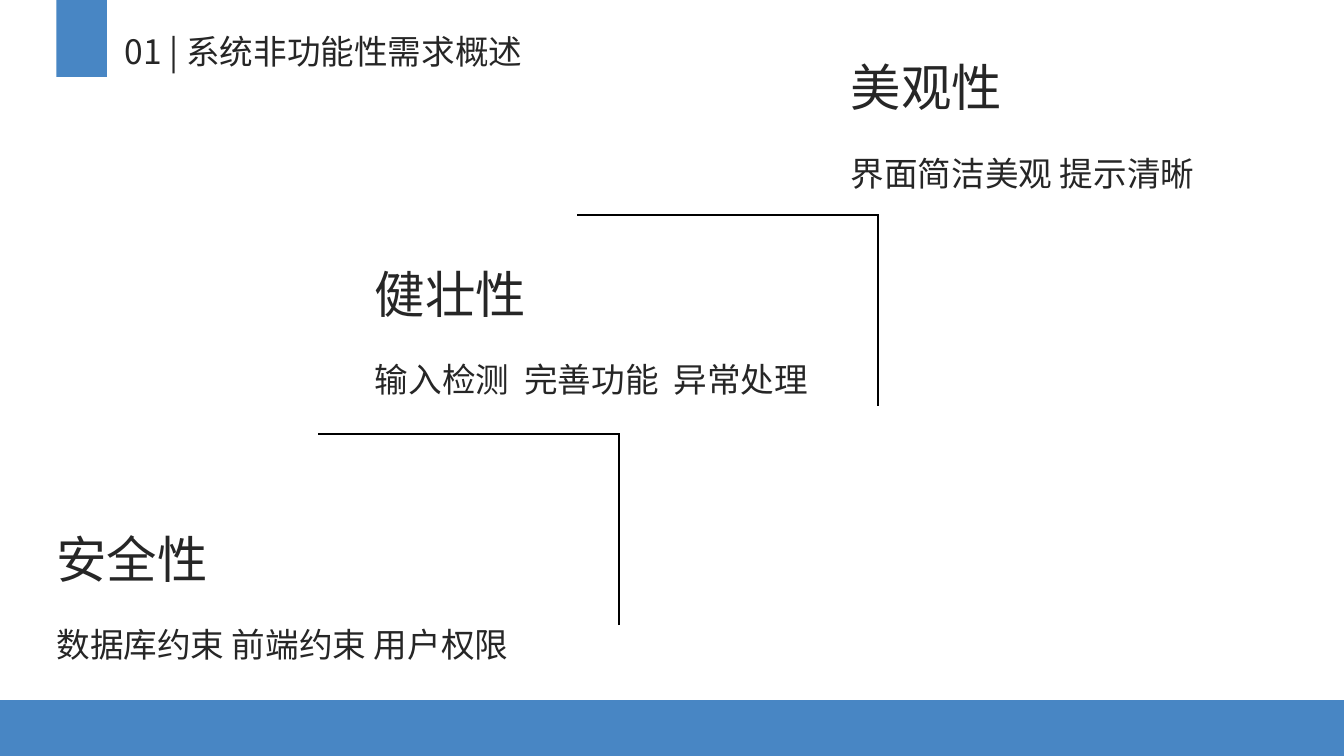
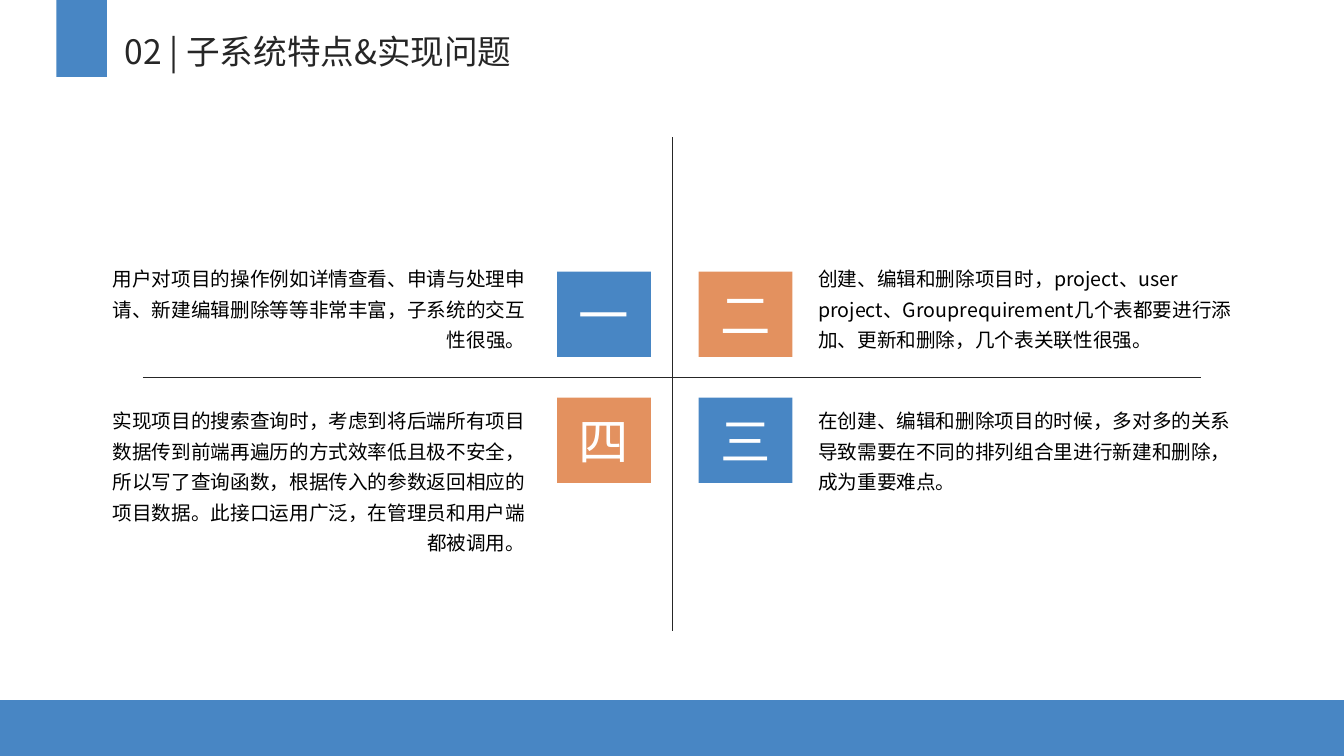
import pptx
import pptx.util
import pptx.dml.color
import pptx.enum.shapes
import pptx.enum.text
import pptx.oxml.ns
import lxml.etree

Pt = pptx.util.Pt
RGBColor = pptx.dml.color.RGBColor
ALIGN = pptx.enum.text.PP_ALIGN
ANCHOR = pptx.enum.text.MSO_ANCHOR

BLUE = RGBColor(0x48, 0x86, 0xC4)
ORANGE = RGBColor(0xE3, 0x91, 0x5F)
DARK = RGBColor(0x26, 0x26, 0x26)
BLACK = RGBColor(0, 0, 0)
WHITE = RGBColor(0xFF, 0xFF, 0xFF)
FONT = "Noto Sans CJK SC"

TITLES = ["01 | 系统非功能性需求概述", "02 | 子系统特点&实现问题"]
STEPS = [
    ("安全性", "数据库约束 前端约束 用户权限", 40.3, 368.6),
    ("健壮性", "输入检测\t完善功能\t异常处理", 267.8, 179.3),
    ("美观性", "界面简洁美观 提示清晰", 607.7, 31.7),
]
STEP_TABS = [106.7, 213.4]
CORNERS = [(442, 310), (627, 153.5)]
CORNER_WIDTH, CORNER_HEIGHT = 214.5, 136.5
QUADRANTS = [
    [
        ("一", "用户对项目的操作例如详情查看、申请与处理申请、新建编辑删除等等非常丰富，子系统的交互性很强。"),
        ("二", "创建、编辑和删除项目时，project、user project、Grouprequirement几个表都要进行添加、更新和删除，几个表关联性很强。"),
    ],
    [
        ("四", "实现项目的搜索查询时，考虑到将后端所有项目数据传到前端再遍历的方式效率低且极不安全，所以写了查询函数，根据传入的参数返回相应的项目数据。此接口运用广泛，在管理员和用户端都被调用。"),
        ("三", "在创建、编辑和删除项目的时候，多对多的关系导致需要在不同的排列组合里进行新建和删除，成为重要难点。"),
    ],
]
COLUMNS = [(398, 63.4, ALIGN.RIGHT), (499, 577.4, ALIGN.LEFT)]
ROWS = [(194, 182.2, 71.3), (284, 283.7, 115.2)]


def write(shape, text, size, color, inset=True, **paragraph_format):
    frame = shape.text_frame
    frame_format = {"word_wrap": True, "auto_size": pptx.enum.text.MSO_AUTO_SIZE.NONE}
    if not inset:
        frame_format.update(dict.fromkeys(
            ("margin_left", "margin_top", "margin_right", "margin_bottom"), 0))
    for name, value in frame_format.items():
        setattr(frame, name, value)
    para = frame.paragraphs[0]
    span = para.add_run()
    span.text = text
    for name, value in paragraph_format.items():
        setattr(para, name, value)
    for name, value in {"name": FONT, "size": Pt(size), "bold": False}.items():
        setattr(span.font, name, value)
    span.font.color.rgb = color
    east_asian = lxml.etree.Element(pptx.oxml.ns.qn("a:ea"), typeface=FONT)
    span.font._element.find(pptx.oxml.ns.qn("a:latin")).addnext(east_asian)
    return para


def add_text(page, place, *content, **formatting):
    box = page.shapes.add_textbox(*map(Pt, place))
    return write(box, *content, **formatting)


def add_block(page, place, color):
    block = page.shapes.add_shape(
        pptx.enum.shapes.MSO_SHAPE.RECTANGLE, *map(Pt, place))
    block.shadow.inherit = False
    block.fill.solid()
    block.fill.fore_color.rgb = color
    block.line.fill.background()
    return block


def add_line(page, ends, color, width):
    line = page.shapes.add_connector(
        pptx.enum.shapes.MSO_CONNECTOR.STRAIGHT, *map(Pt, ends))
    line.line.color.rgb = color
    line.line.width = Pt(width)
    properties = line._element.find(pptx.oxml.ns.qn("p:spPr"))
    lxml.etree.SubElement(properties, pptx.oxml.ns.qn("a:effectLst"))


def add_page(deck, title):
    page = deck.slides.add_slide(deck.slide_layouts[5])
    add_block(page, (0, 500, 960, 40), BLUE)
    add_block(page, (40.3, 0, 36, 55), BLUE)
    heading = page.shapes.title
    place = {"left": 82, "top": 18.7, "width": 500, "height": 36}
    for name, value in place.items():
        setattr(heading, name, Pt(value))
    heading.text_frame.vertical_anchor = ANCHOR.MIDDLE
    write(heading, title, 24, DARK, alignment=ALIGN.LEFT)
    return page


def add_steps(page):
    for name, detail, left, top in STEPS:
        add_text(page, (left, top, 138, 48), name, 36, DARK,
                 inset=False, line_spacing=1.2)
        para = add_text(page, (left, top + 71.5, 350, 32), detail, 24, DARK,
                        inset=False, line_spacing=1.2)
        if "\t" in detail:
            properties = para._p.get_or_add_pPr()
            tabs = lxml.etree.SubElement(properties, pptx.oxml.ns.qn("a:tabLst"))
            for position in STEP_TABS:
                lxml.etree.SubElement(tabs, pptx.oxml.ns.qn("a:tab"),
                                      pos=str(Pt(position)), algn="l")
    for right, top in CORNERS:
        add_line(page, (right - CORNER_WIDTH, top, right, top), BLACK, 1.5)
        add_line(page, (right, top + CORNER_HEIGHT, right, top - 0.75), BLACK, 1.5)


def add_quadrants(page):
    add_line(page, (102, 269.5, 858, 269.5), DARK, 0.5)
    add_line(page, (480, 98, 480, 451), DARK, 0.5)
    for row, (block_top, text_top, height) in enumerate(ROWS):
        for column, (block_left, text_left, side) in enumerate(COLUMNS):
            number, detail = QUADRANTS[row][column]
            color = BLUE if row == column else ORANGE
            block = add_block(page, (block_left, block_top, 67, 61), color)
            block.text_frame.vertical_anchor = ANCHOR.MIDDLE
            write(block, number, 36, WHITE, alignment=ALIGN.CENTER)
            add_text(page, (text_left, text_top, 319, height), detail, 14, BLACK,
                     alignment=side, line_spacing=1.3)


def main():
    deck = pptx.Presentation()
    deck.slide_width, deck.slide_height = Pt(960), Pt(540)
    for title, fill_page in zip(TITLES, (add_steps, add_quadrants)):
        fill_page(add_page(deck, title))
    deck.save("out.pptx")


if __name__ == "__main__":
    main()
